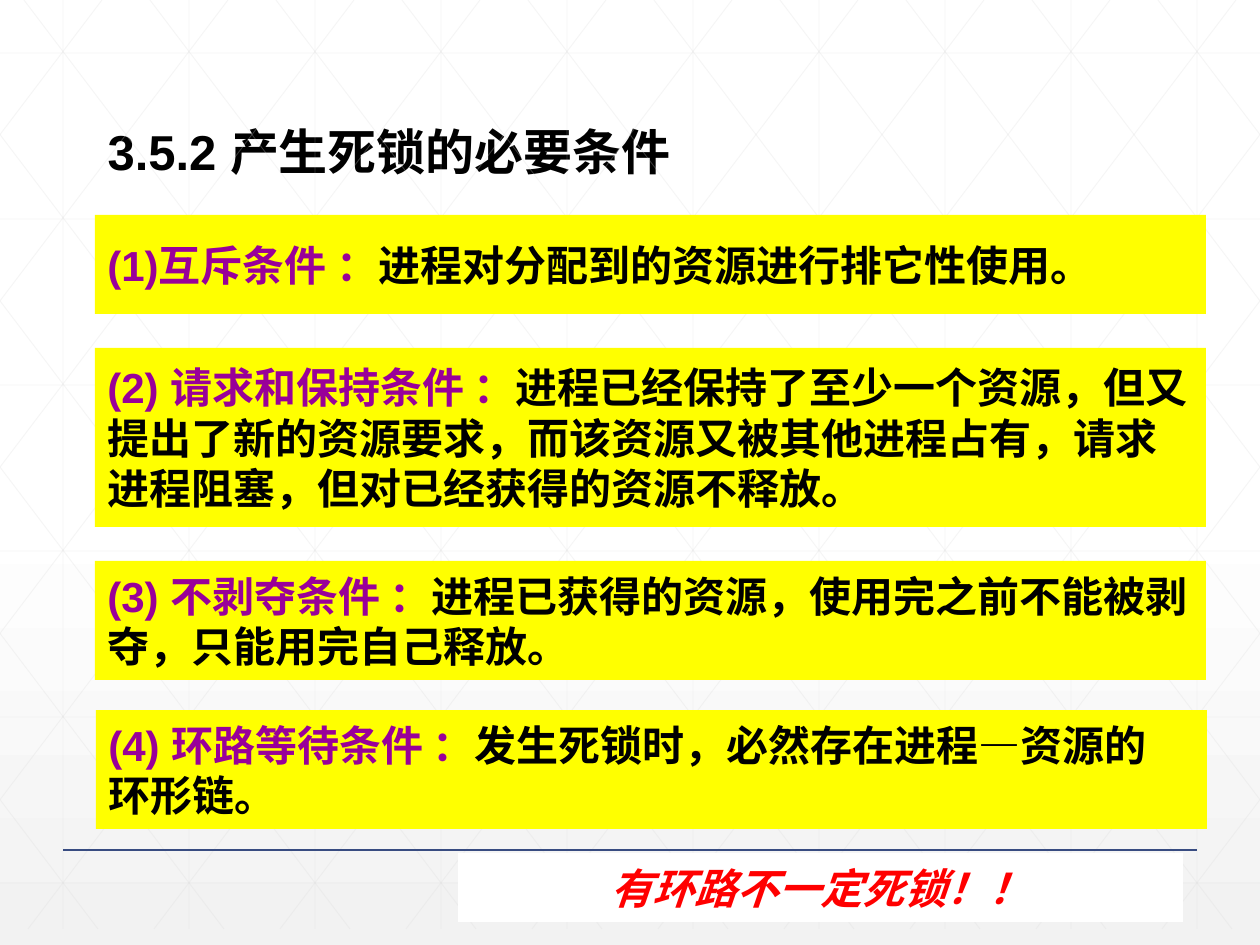
from dataclasses import dataclass

import copy
import pptx
import pptx.dml.color
import pptx.enum.shapes
import pptx.enum.text
import pptx.oxml.xmlchemy
import pptx.util
from pptx.oxml.ns import qn

EMU_PER_PX = 914400 / 126
WIDTH, HEIGHT = 1260, 945
FONT = "Arial"
COLORS = {
    "white": "FFFFFF",
    "shade": "F2F2F2",
    "grid": "D9D9D9",
    "rule": "384C81",
    "panel": "FFFF00",
    "label": "990099",
    "body": "000000",
    "warning": "FF0000",
}


@dataclass
class Condition:
    left: int
    top: int
    height: int
    label: str
    lines: list[str]


CONDITIONS = [
    Condition(95, 215, 99, "(1)互斥条件 ：", ["进程对分配到的资源进行排它性使用。"]),
    Condition(95, 348, 179, "(2) 请求和保持条件 ：", [
        "进程已经保持了至少一个资源，但又",
        "提出了新的资源要求，而该资源又被其他进程占有，请求",
        "进程阻塞，但对已经获得的资源不释放。",
    ]),
    Condition(95, 561, 119, "(3) 不剥夺条件 ：", [
        "进程已获得的资源，使用完之前不能被剥",
        "夺，只能用完自己释放。",
    ]),
    Condition(96, 710, 119, "(4) 环路等待条件 ：", [
        "发生死锁时，必然存在进程—资源的",
        "环形链。",
    ]),
]


def px(length: float) -> pptx.util.Emu:
    return pptx.util.Emu(round(length * EMU_PER_PX))


def rgb(name: str) -> pptx.dml.color.RGBColor:
    return pptx.dml.color.RGBColor.from_string(COLORS[name])


def style(run, size: int, color: str, italic: bool = False) -> None:
    run.font.name = FONT
    run.font.size = pptx.util.Pt(size)
    run.font.bold = True
    if italic:
        run.font.italic = True
    run.font.color.rgb = rgb(color)


def draw_line(slide, x1: float, y1: float, x2: float, y2: float,
              color: str, width: float, opacity: int = 100) -> None:
    line = slide.shapes.add_connector(
        pptx.enum.shapes.MSO_CONNECTOR.STRAIGHT, px(x1), px(y1), px(x2), px(y2))
    line.line.color.rgb = rgb(color)
    line.line.width = pptx.util.Pt(width)
    properties = line._element.spPr
    properties.append(properties.makeelement(qn("a:effectLst"), {}))
    if opacity < 100:
        tint = properties.find(".//" + qn("a:srgbClr"))
        tint.append(tint.makeelement(qn("a:alpha"), {"val": str(opacity * 1000)}))


def draw_panel(slide, left: int, top: int, width: int, height: int, color: str):
    panel = slide.shapes.add_shape(
        pptx.enum.shapes.MSO_SHAPE.RECTANGLE, px(left), px(top), px(width), px(height))
    panel.shadow.inherit = False
    panel.fill.solid()
    panel.fill.fore_color.rgb = rgb(color)
    panel.line.fill.background()
    panel.text_frame.word_wrap = False
    panel.text_frame.vertical_anchor = pptx.enum.text.MSO_ANCHOR.MIDDLE
    return panel.text_frame


def draw_condition(slide, condition: Condition) -> None:
    frame = draw_panel(slide, condition.left, condition.top, 1111, condition.height, "panel")
    for number, text in enumerate(condition.lines):
        paragraph = frame.add_paragraph() if number else frame.paragraphs[0]
        paragraph.alignment = pptx.enum.text.PP_ALIGN.LEFT
        hanging = paragraph._p.get_or_add_pPr()
        hanging.set("marL", str(px(63)))
        hanging.set("indent", str(px(-63)))
        if number == 0:
            label = paragraph.add_run()
            label.text = condition.label
            style(label, 24, "label")
        body = paragraph.add_run()
        body.text = text
        style(body, 24, "body")


def draw_background(slide) -> None:
    fill = slide.background.fill
    fill.gradient()
    fill.gradient_angle = 270
    first, last = fill.gradient_stops
    first.color.rgb, first.position = rgb("white"), 0
    last.color.rgb, last.position = rgb("shade"), 1
    start = slide._element.find(".//" + qn("a:gs"))
    middle = copy.deepcopy(start)
    middle.set("pos", "53000")
    start.addnext(middle)


def draw_grid(slide) -> None:
    bottom, step, run = 929, 126, 704
    segments = [(x, 0, x, bottom) for x in range(63, WIDTH, step)]
    segments += [(0, y, WIDTH, y) for y in range(53, HEIGHT, 166)]
    # Slanted lines, cut at the slide edges, then mirrored
    slope = bottom / run
    slanted = []
    for i in range(-5, 10):
        start = 24 + i * step
        x1, x2 = max(start, 0), min(start + run, WIDTH)
        slanted.append((x1, (x1 - start) * slope, x2, (x2 - start) * slope))
    segments += slanted
    segments += [(WIDTH - x1, y1, WIDTH - x2, y2) for x1, y1, x2, y2 in slanted]
    for segment in segments:
        draw_line(slide, *segment, "grid", 0.5, 25)


def draw_title(slide) -> None:
    title = slide.shapes.title
    title.left, title.top, title.width, title.height = px(95), px(115), px(620), px(72)
    frame = title.text_frame
    frame.text = "3.5.2 产生死锁的必要条件"
    frame.word_wrap = False
    frame.auto_size = pptx.enum.text.MSO_AUTO_SIZE.SHAPE_TO_FIT_TEXT
    frame.vertical_anchor = pptx.enum.text.MSO_ANCHOR.TOP
    frame.paragraphs[0].alignment = pptx.enum.text.PP_ALIGN.LEFT
    style(frame.paragraphs[0].runs[0], 28, "body")


def main() -> None:
    deck = pptx.Presentation()
    deck.slide_width, deck.slide_height = px(WIDTH), px(HEIGHT)
    slide = deck.slides.add_slide(deck.slide_layouts.get_by_name("Title Only"))

    # Backdrop
    draw_background(slide)
    draw_grid(slide)
    draw_line(slide, 63, 850, 1197, 850, "rule", 1)

    # Title and the four conditions
    draw_title(slide)
    for condition in CONDITIONS:
        draw_condition(slide, condition)

    # Closing warning
    warning = draw_panel(slide, 458, 853, 725, 69, "white")
    warning.text = "有环路不一定死锁！！"
    warning.paragraphs[0].alignment = pptx.enum.text.PP_ALIGN.CENTER
    style(warning.paragraphs[0].runs[0], 24, "warning", italic=True)

    deck.save("out.pptx")


if __name__ == "__main__":
    main()
